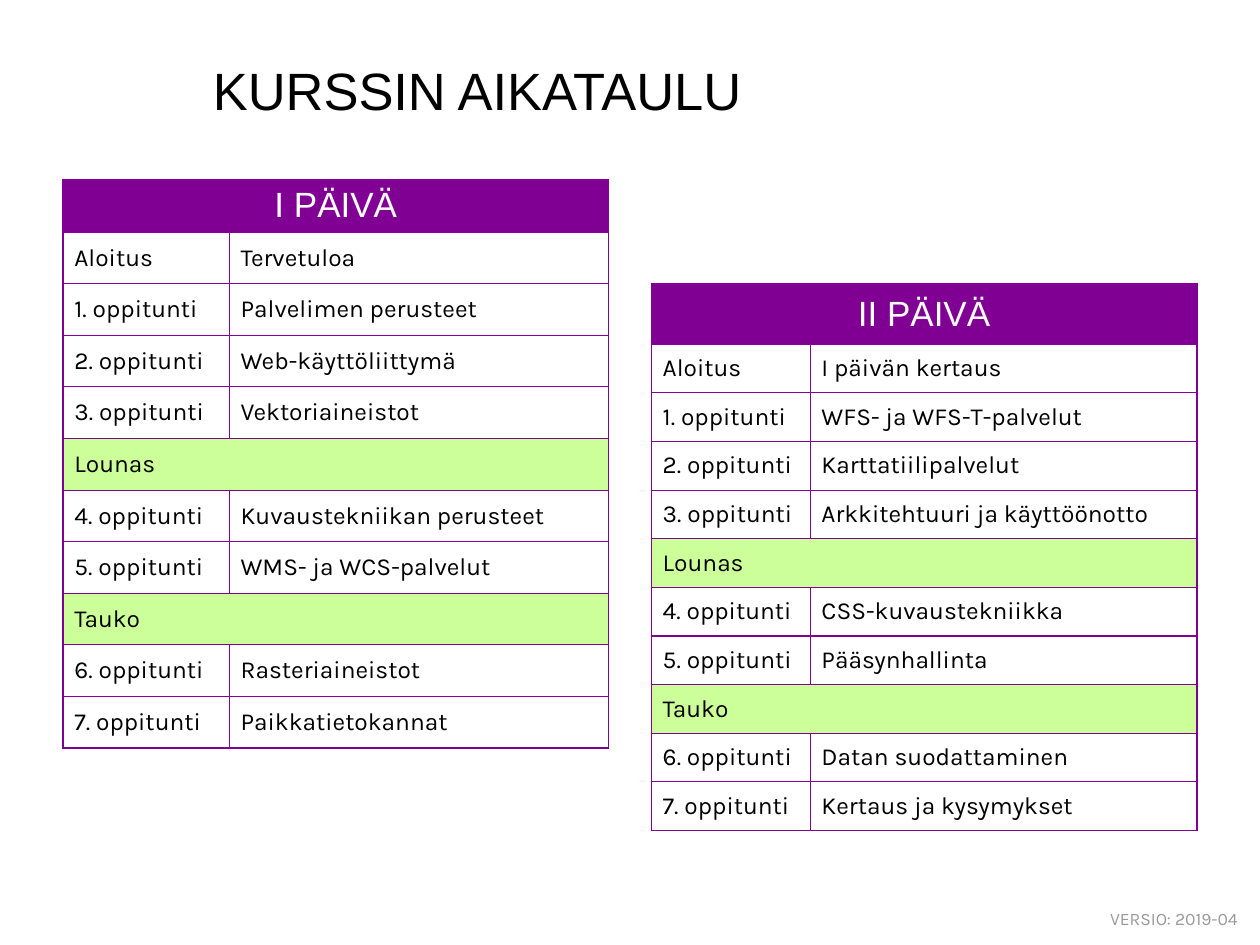
from dataclasses import dataclass

from lxml.etree import SubElement
from pptx import Presentation
from pptx.dml.color import RGBColor
from pptx.enum.text import MSO_ANCHOR, MSO_AUTO_SIZE, PP_ALIGN
from pptx.oxml.ns import qn
from pptx.util import Cm, Pt

PURPLE = RGBColor(0x80, 0x00, 0x93)
GREEN = RGBColor(0xCC, 0xFF, 0x99)
WHITE = RGBColor(0xFF, 0xFF, 0xFF)
BLACK = RGBColor(0x00, 0x00, 0x00)
GRAY = RGBColor(0x99, 0x99, 0x99)

BREAKS = {3: "Lounas", 5: "Tauko"}  # lesson number before each break


@dataclass
class Day:
    name: str
    left: float
    top: float
    cols: tuple[float, float]
    head: float
    row: float
    start: str
    topics: list[str]

    def rows(self) -> list[tuple[str, ...]]:
        """One-item rows span the whole table."""
        rows = [(self.name,), ("Aloitus", self.start)]
        for num, topic in enumerate(self.topics, 1):
            rows.append((f"{num}. oppitunti", topic))
            if num in BREAKS:
                rows.append((BREAKS[num],))
        return rows


DAYS = [
    Day("II PÄIVÄ", 13.13, 5.72, (3.2, 7.8), 1.22, 0.98, "I päivän kertaus",
        ["WFS- ja WFS-T-palvelut", "Karttatiilipalvelut",
         "Arkkitehtuuri ja käyttöönotto", "CSS-kuvaustekniikka",
         "Pääsynhallinta", "Datan suodattaminen", "Kertaus ja kysymykset"]),
    Day("I PÄIVÄ", 1.27, 3.61, (3.35, 7.65), 1.07, 1.04, "Tervetuloa",
        ["Palvelimen perusteet", "Web-käyttöliittymä", "Vektoriaineistot",
         "Kuvaustekniikan perusteet", "WMS- ja WCS-palvelut",
         "Rasteriaineistot", "Paikkatietokannat"]),
]


def style(para, face: str, size: int, color: RGBColor, align=PP_ALIGN.LEFT) -> None:
    para.alignment = align
    para.font.name = face
    para.font.size = Pt(size)
    para.font.color.rgb = color


def place(shape, left: float, top: float, width: float, height: float, pad: float) -> None:
    shape.left, shape.top = Cm(left), Cm(top)
    shape.width, shape.height = Cm(width), Cm(height)
    frame = shape.text_frame
    frame.word_wrap = True
    frame.auto_size = MSO_AUTO_SIZE.NONE
    frame.vertical_anchor = MSO_ANCHOR.MIDDLE
    frame.margin_left = frame.margin_right = Cm(pad)
    frame.margin_top = frame.margin_bottom = Cm(pad)


def border(cell) -> None:
    props = cell._tc.get_or_add_tcPr()
    for side in ("a:lnL", "a:lnR", "a:lnT", "a:lnB"):
        line = SubElement(props, qn(side), w=str(Pt(0.75)))
        fill = SubElement(line, qn("a:solidFill"))
        SubElement(fill, qn("a:srgbClr"), val=str(PURPLE))


def paint(cell, fill: RGBColor) -> None:
    border(cell)
    cell.fill.solid()
    cell.fill.fore_color.rgb = fill
    cell.vertical_anchor = MSO_ANCHOR.MIDDLE
    cell.margin_left = cell.margin_right = Cm(0.23)
    cell.margin_top = cell.margin_bottom = Cm(0.13)


def draw(slide, day: Day) -> None:
    rows = day.rows()
    height = day.head + day.row * (len(rows) - 1)
    table = slide.shapes.add_table(
        len(rows), 2, Cm(day.left), Cm(day.top), Cm(sum(day.cols)), Cm(height)).table
    for col, width in zip(table.columns, day.cols):
        col.width = Cm(width)
    for i, texts in enumerate(rows):
        table.rows[i].height = Cm(day.row if i else day.head)
        span = len(texts) == 1
        fill = PURPLE if i == 0 else GREEN if span else WHITE
        for j in range(2):
            paint(table.cell(i, j), fill)
        if span:
            table.cell(i, 0).merge(table.cell(i, 1))
        for j, text in enumerate(texts):
            cell = table.cell(i, j)
            cell.text = text
            para = cell.text_frame.paragraphs[0]
            if i == 0:
                style(para, "Arial", 20, WHITE, PP_ALIGN.CENTER)
            else:
                style(para, "Karla", 14, BLACK)


def main() -> None:
    deck = Presentation()
    deck.slide_width, deck.slide_height = Cm(25.4), Cm(19.05)
    slide = deck.slides.add_slide(deck.slide_layouts[5])

    # Version mark
    mark = slide.shapes.add_textbox(0, 0, 0, 0)
    place(mark, 21.21, 18.03, 3.99, 0.99, 0.25)
    mark.text_frame.text = "VERSIO: 2019-04"
    style(mark.text_frame.paragraphs[0], "Karla", 10, GRAY, PP_ALIGN.RIGHT)

    # Title
    title = slide.shapes.title
    place(title, 4.09, 0.91, 20.85, 1.8, 0.2)
    title.text_frame.text = "KURSSIN AIKATAULU"
    style(title.text_frame.paragraphs[0], "Arial", 30, BLACK)

    # Timetables
    for day in DAYS:
        draw(slide, day)

    deck.save("out.pptx")


if __name__ == "__main__":
    main()
